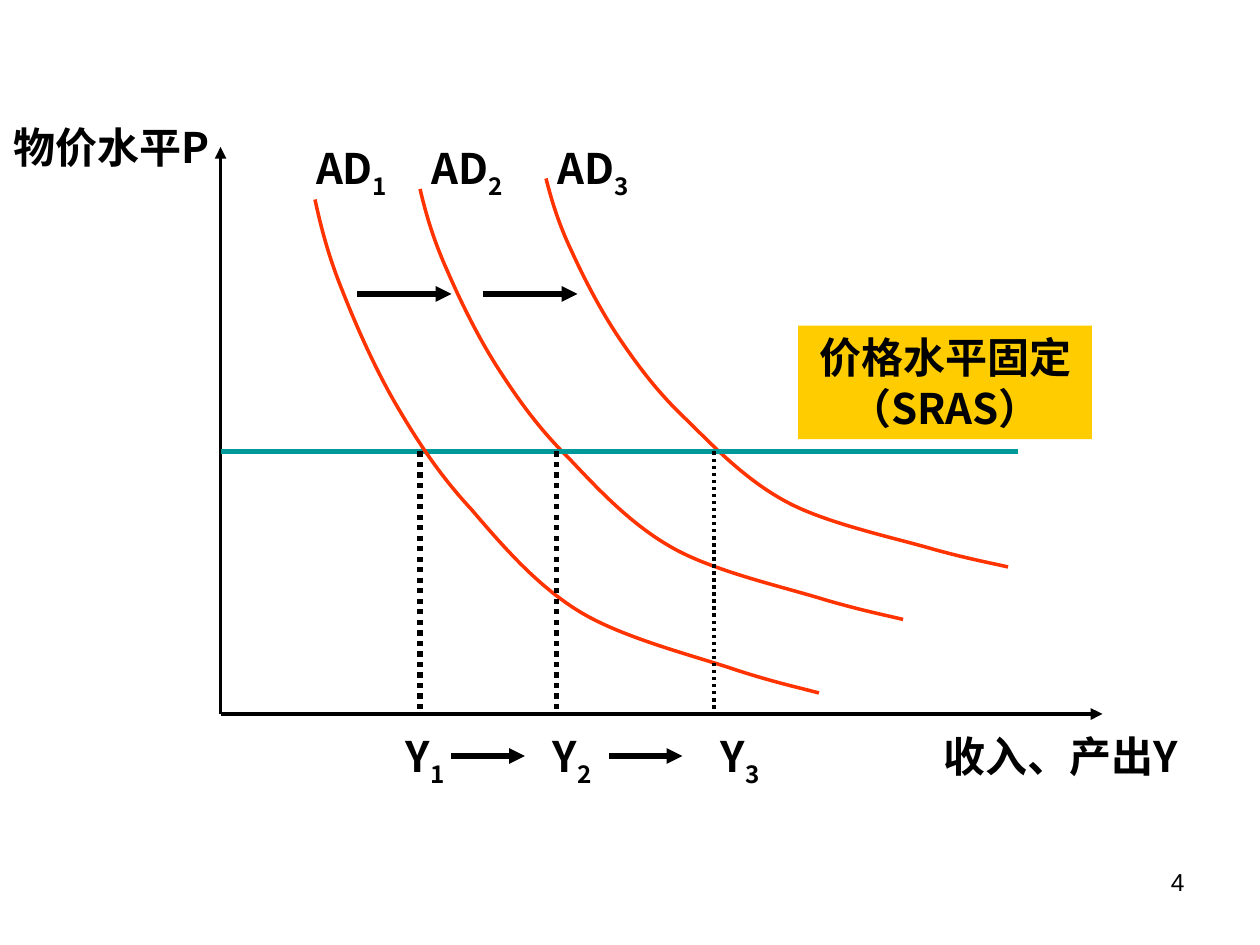
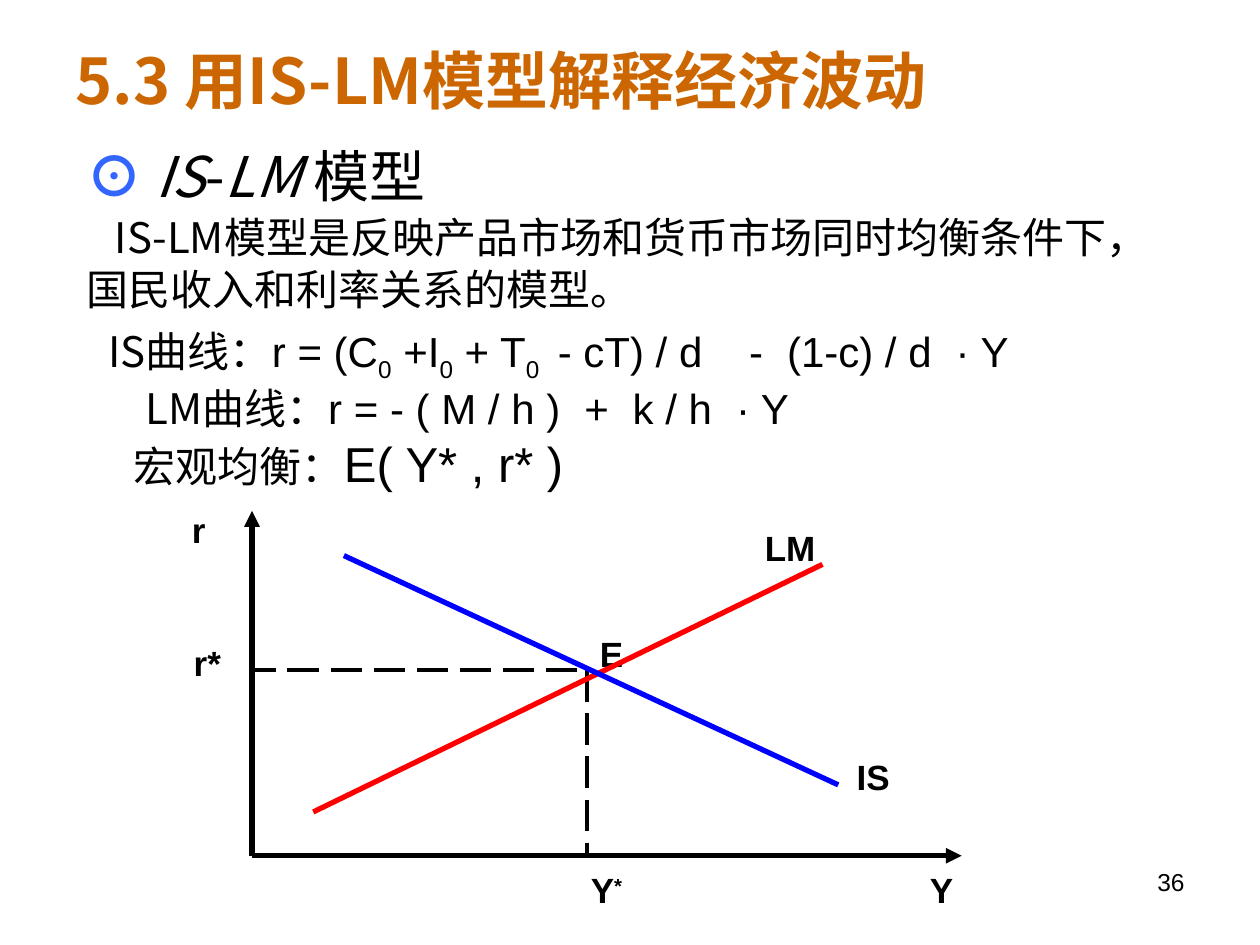
from pptx import Presentation
from pptx.dml.color import RGBColor
from pptx.enum.dml import MSO_LINE
from pptx.enum.shapes import MSO_CONNECTOR, MSO_SHAPE
from pptx.enum.text import MSO_ANCHOR, MSO_AUTO_SIZE, PP_ALIGN
from pptx.oxml.ns import qn
from pptx.util import Pt
from lxml import etree

COLORS = {
    "ink": "000000",
    "title": "CC6600",
    "bullet": "3366FF",
    "demand": "FF3300",
    "supply": "009999",
    "callout": "FFCC00",
    "lm": "FF0000",
    "is": "0000FF",
}
CJK = "Noto Sans CJK SC"
LATIN = "Arial"

# Demand curve: Bezier points in percent of its width and height
DEMAND_POINTS = [
    (0, 0),
    (1.25, 5.87), (2.75, 11.73), (5.5, 18.62),
    (8.25, 25.77), (12, 34.44), (16.25, 41.84),
    (20.5, 49.23), (24.75, 55.87), (31, 62.76),
    (37, 69.9), (44, 78.32), (52.75, 83.67),
    (61.5, 89.03), (75.75, 92.6), (83.75, 95.41),
    (91.5, 97.96), (97.25, 99.23), (100, 100),
]


def rgb(name):
    return RGBColor.from_string(COLORS[name])


def add_run(paragraph, text, size, font=CJK, color="ink", bold=False,
            italic=False, baseline=0, tracking=0):
    run = paragraph.add_run()
    run.text = text
    run.font.size = Pt(size)
    run.font.name = font
    run.font.bold = bold
    run.font.italic = italic
    run.font.color.rgb = rgb(color)
    properties = run.font._element
    east_asian = etree.SubElement(properties, qn("a:ea"))
    east_asian.set("typeface", CJK)
    properties.find(qn("a:latin")).addnext(east_asian)
    if baseline:
        properties.set("baseline", str(baseline * 1000))
    if tracking:
        properties.set("spc", str(tracking * 100))


def set_frame(shape, top_inset=3.6, anchor=MSO_ANCHOR.TOP):
    frame = shape.text_frame
    frame.word_wrap = True
    frame.auto_size = MSO_AUTO_SIZE.NONE
    frame.vertical_anchor = anchor
    frame.margin_left = frame.margin_right = Pt(7.2)
    frame.margin_top, frame.margin_bottom = Pt(top_inset), Pt(3.6)
    return frame


def add_text_box(slide, box, top_inset=3.6):
    shape = slide.shapes.add_textbox(*map(Pt, box))
    return set_frame(shape, top_inset)


def add_label(slide, box, text, script="", baseline=-25, size=24, font=CJK,
              align=PP_ALIGN.CENTER, bold=True):
    """One line of text, with an optional raised or lowered sign."""
    top_inset = 7.2 if script and font == CJK else 3.4
    frame = add_text_box(slide, box, top_inset)
    write_label(frame, text, script, baseline, size, font, align, bold)


def write_label(frame, text, script="", baseline=-25, size=24, font=CJK,
                align=PP_ALIGN.CENTER, bold=True):
    paragraph = frame.paragraphs[0]
    paragraph.alignment = align
    if font == CJK:
        paragraph.line_spacing = Pt(29)
    add_run(paragraph, text, size, font, bold=bold)
    if script:
        add_run(paragraph, script, size, font, bold=bold, baseline=baseline)


def add_line(slide, start, end, width, color="ink", dash=None, arrow=False):
    connector = slide.shapes.add_connector(
        MSO_CONNECTOR.STRAIGHT, *map(Pt, (*start, *end)))
    connector.line.color.rgb = rgb(color)
    connector.line.width = Pt(width)
    if dash:
        connector.line.dash_style = dash
    if arrow:
        line = connector.line._get_or_add_ln()
        etree.SubElement(line, qn("a:tailEnd")).set("type", "triangle")
    etree.SubElement(connector._element.spPr, qn("a:effectLst"))


def bend_segments(shape):
    """Join every three straight segments into one Bezier segment."""
    segments = list(shape._element.iter(qn("a:lnTo")))
    for first in range(0, len(segments), 3):
        bend = etree.Element(qn("a:cubicBezTo"))
        segments[first].addprevious(bend)
        for segment in segments[first:first + 3]:
            bend.append(segment[0])
            segment.getparent().remove(segment)


def add_demand_curve(slide, left, top, width, height):
    points = [(Pt(left + x * width / 100), Pt(top + y * height / 100))
              for x, y in DEMAND_POINTS]
    builder = slide.shapes.build_freeform(*points[0])
    builder.add_line_segments(points[1:], close=False)
    curve = builder.convert_to_shape()
    bend_segments(curve)
    curve.fill.background()
    curve.line.color.rgb = rgb("demand")
    curve.line.width = Pt(2)
    curve.shadow.inherit = False


def add_axes(slide, origin, top, right, width):
    for end in ((origin[0], top), (right, origin[1])):
        add_line(slide, origin, end, width, arrow=True)


def add_page_number(slide, number):
    add_label(slide, (516, 492, 168, 37), number, size=14, font=LATIN,
              align=PP_ALIGN.RIGHT, bold=False)


def add_paragraph(frame, runs, spacing, indent=0):
    """Add a body paragraph; runs are (text, size, options)."""
    paragraph = frame.paragraphs[0]
    if paragraph.runs:
        paragraph = frame.add_paragraph()
    paragraph.line_spacing = Pt(spacing)
    properties = paragraph._p.get_or_add_pPr()
    properties.set("marL", "0")
    properties.set("indent", str(Pt(indent)))
    for text, size, options in runs:
        add_run(paragraph, text, size, **options)


def add_title(slide, text):
    title = slide.shapes.title
    title.left, title.top, title.width, title.height = map(Pt, (36, 9, 648, 73))
    paragraph = set_frame(title, anchor=MSO_ANCHOR.MIDDLE).paragraphs[0]
    paragraph.alignment = PP_ALIGN.LEFT
    paragraph.line_spacing = Pt(43)
    add_run(paragraph, text, 36, color="title", bold=True)


def build_demand_slide(presentation):
    slide = presentation.slides.add_slide(presentation.slide_layouts[6])
    price_level = 258
    axis_y = 408

    # Axes and their names
    add_axes(slide, (126, axis_y), 84, 630, 2.25)
    add_label(slide, (-14.4, 66, 156, 36), "物价水平P")
    add_label(slide, (528, 414, 156, 36), "收入、产出Y")

    # Fixed price callout
    callout = slide.shapes.add_shape(
        MSO_SHAPE.RECTANGLE, *map(Pt, (456, 186, 168, 65)))
    callout.fill.solid()
    callout.fill.fore_color.rgb = rgb("callout")
    callout.line.fill.background()
    callout.shadow.inherit = False
    write_label(set_frame(callout, 3.4), "价格水平固定（SRAS）")

    # Demand curves and the supply line
    add_demand_curve(slide, 240, 108, 276, 246)
    add_demand_curve(slide, 312, 102, 264, 222)
    add_line(slide, (582, price_level), (126, price_level), 3, "supply")
    add_demand_curve(slide, 180, 114, 288, 282)

    # Drop lines to the output axis
    for x, width in ((240, 3), (318, 3), (408, 2)):
        add_line(slide, (x, price_level), (x, axis_y), width, dash=MSO_LINE.ROUND_DOT)

    # Shift arrows
    for left, right, y in ((204, 258, 168), (276, 330, 168),
                           (258, 300, 432), (348, 390, 432)):
        add_line(slide, (left, y), (right, y), 3, arrow=True)

    # Curve and output labels
    for name, top, lefts in (("AD", 78, (168, 234, 306)),
                             ("Y", 414, (210, 294, 390))):
        for index, left in enumerate(lefts, 1):
            add_label(slide, (left, top, 66, 40), name, str(index))
    add_page_number(slide, "4")


def add_model_text(slide):
    frame = add_text_box(slide, (42.5, 77, 623.5, 241))
    frame.margin_right = Pt(32)
    plain, latin = {}, {"font": LATIN}
    lowered = {"font": LATIN, "baseline": -25}
    italic = {"italic": True}
    gap = (" ", 24, {"font": LATIN, "tracking": 7})
    wide_gap = (" ", 24, {"font": LATIN, "tracking": 20})
    add_paragraph(frame, [
        ("⊙ ", 32, {"color": "bullet", "bold": True}),
        ("IS", 32, italic), ("-", 32, plain),
        ("LM ", 32, italic), ("模型", 32, plain)], 39)
    add_paragraph(frame, [
        ("IS-LM模型是反映产品市场和货币市场同时均衡条件下，"
         "国民收入和利率关系的模型。", 24, plain)], 30, 16)
    add_paragraph(frame, [
        ("IS曲线：", 24, plain),
        ("r = (C", 24, latin), ("0", 24, lowered),
        (" +I", 24, latin), ("0", 24, lowered),
        (" + T", 24, latin), ("0 ", 24, lowered),
        (" - cT) / d", 24, latin), wide_gap, ("-", 24, latin), gap,
        ("(1-c) / d", 24, latin), gap, ("· Y", 24, latin)], 39.5, 12.5)
    add_paragraph(frame, [
        ("LM", 24, plain),
        ("曲线：r = - ( M / h )", 24, latin), gap, ("+", 24, latin), gap,
        ("k / h", 24, latin), gap, ("· Y", 24, latin)], 28.5, 33.5)
    add_paragraph(frame, [
        ("宏观均衡：", 24, latin), ("E( Y* , r* )", 28, latin)], 34, 27)


def build_model_slide(presentation):
    slide = presentation.slides.add_slide(presentation.slide_layouts[5])
    add_model_text(slide)
    add_title(slide, "5.3 用IS-LM模型解释经济波动")
    add_page_number(slide, "36")

    # Equilibrium guides
    add_line(slide, (330, 383), (143, 383), 2.25, dash=MSO_LINE.LONG_DASH)
    add_line(slide, (335.5, 383), (335.5, 489), 2.25, dash=MSO_LINE.LONG_DASH)

    # Diagram labels
    for text, left, top, width in (
            ("r", 82, 287, 63), ("LM", 399.5, 297.5, 104), ("IS", 470, 428.5, 58),
            ("Y", 522.5, 493, 31), ("r*", 91, 363, 55), ("E", 335.5, 358, 28)):
        add_label(slide, (left, top, width, 32), text, size=20, font=LATIN)
    add_label(slide, (330.5, 493, 62, 32), "Y", "*", 30, 20, LATIN, PP_ALIGN.LEFT)

    # Axes and curves
    add_axes(slide, (144, 489), 292, 549.5, 3)
    add_line(slide, (179, 464), (470, 322.5), 3, "lm")
    add_line(slide, (196.5, 317.5), (479, 448.5), 3, "is")


def main():
    presentation = Presentation()
    presentation.slide_width, presentation.slide_height = Pt(720), Pt(540)
    build_demand_slide(presentation)
    build_model_slide(presentation)
    presentation.save("out.pptx")


if __name__ == "__main__":
    main()
